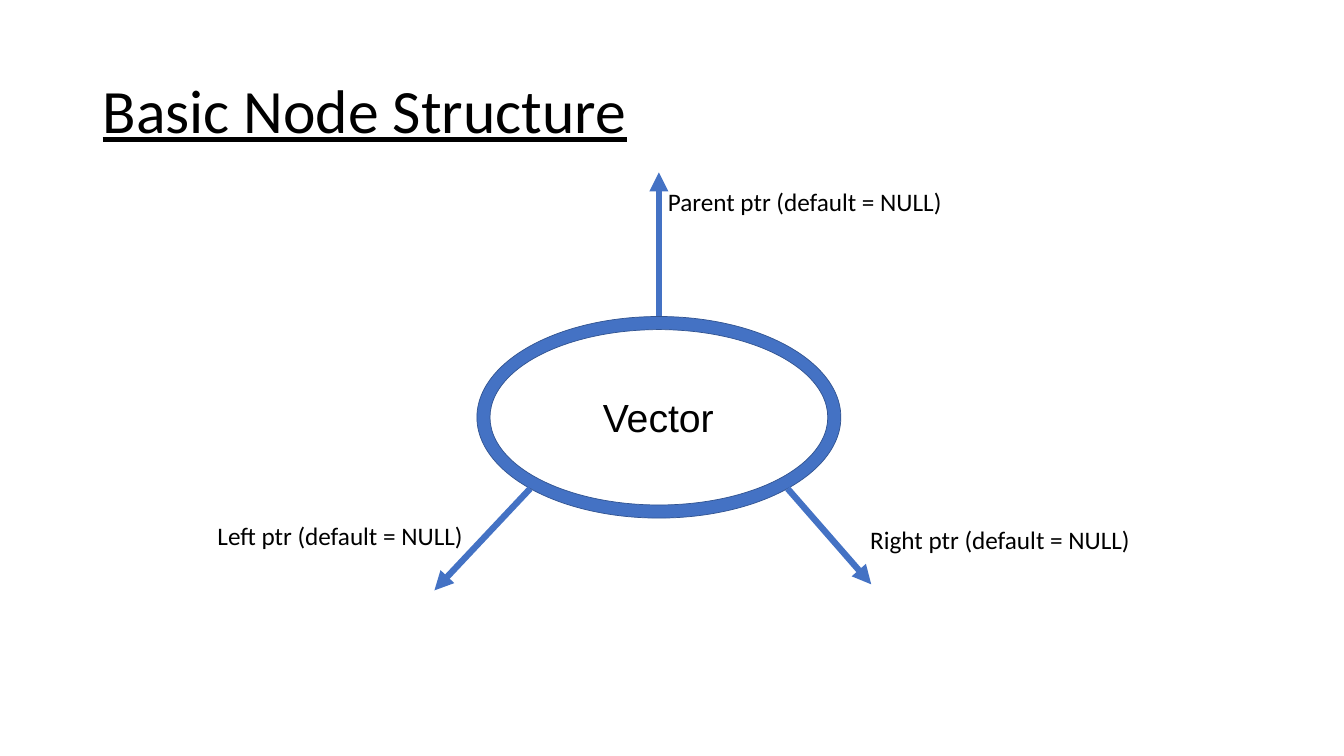
from math import cos, radians, sin

from lxml.etree import SubElement
from pptx import Presentation
from pptx.dml.color import RGBColor
from pptx.enum.shapes import MSO_CONNECTOR as LINE, MSO_SHAPE as SHAPE
from pptx.enum.text import MSO_ANCHOR as ANCHOR
from pptx.oxml.ns import qn
from pptx.util import Pt

PX = 9144  # 100 px to the inch
BLUE = RGBColor(0x44, 0x72, 0xC4)
EDGE = RGBColor(0x32, 0x54, 0x91)
BLACK = RGBColor(0, 0, 0)

# name, angle on the ring, arrow run, label offset from the tip, label width
POINTERS = [
    ("Parent", -90, (0, -143), (-1, 9), 295),
    ("Left", 135, (-95, 101), (-225, -74), 267),
    ("Right", 45, (83, 95), (-11, -64), 281),
]


def emu(*sizes):
    return [round(size * PX) for size in sizes]


def add_text(slide, box, text, wrap=True, anchor=ANCHOR.TOP, spacing=1, **font):
    frame = slide.shapes.add_textbox(*emu(*box)).text_frame
    frame.word_wrap = wrap
    frame.vertical_anchor = anchor
    par = frame.paragraphs[0]
    par.line_spacing = spacing
    run = par.add_run()
    run.text = text
    run.font.color.rgb = BLACK
    for key, value in ({"name": "Calibri"} | font).items():
        setattr(run.font, key, value)


def add_arrow(slide, start, tip):
    arrow = slide.shapes.add_connector(LINE.STRAIGHT, *emu(*start, *tip))
    arrow.line.color.rgb = BLUE
    arrow.line.width = Pt(4.5)
    SubElement(arrow.line._get_or_add_ln(), qn("a:tailEnd"), type="triangle")
    SubElement(arrow._element.spPr, qn("a:effectLst"))


def add_ring(slide, box):
    ring = slide.shapes.add_shape(SHAPE.DONUT, *emu(*box))
    ring.adjustments[0] = 0.065
    ring.shadow.inherit = False
    ring.fill.solid()
    ring.fill.fore_color.rgb = BLUE
    ring.line.color.rgb = EDGE
    ring.line.width = Pt(0.5)


def add_node(slide, box):
    """Draw the ring, its value and the labelled pointers leaving it."""
    left, top, width, height = box
    add_ring(slide, box)
    add_text(slide, (left + 115, top + 71, 132, 57), "Vector",
             name="Arial", size=Pt(28))
    for name, angle, (run, rise), (dx, dy), wide in POINTERS:
        turn = radians(angle)
        x = left + width / 2 * (1 + cos(turn))
        y = top + height / 2 * (1 + sin(turn))
        tip = x + run, y + rise
        add_arrow(slide, (x, y), tip)
        add_text(slide, (tip[0] + dx, tip[1] + dy, wide, 40),
                 f"{name} ptr (default = NULL)", wrap=False, size=Pt(18))


def main():
    deck = Presentation()
    deck.slide_width, deck.slide_height = emu(1333, 750)
    slide = deck.slides.add_slide(deck.slide_layouts[6])
    add_text(slide, (92, 40, 1150, 145), "Basic Node Structure",
             anchor=ANCHOR.MIDDLE, spacing=0.9, size=Pt(44), underline=True)
    add_node(slide, (473, 314, 361, 200))
    deck.save("out.pptx")


if __name__ == "__main__":
    main()
